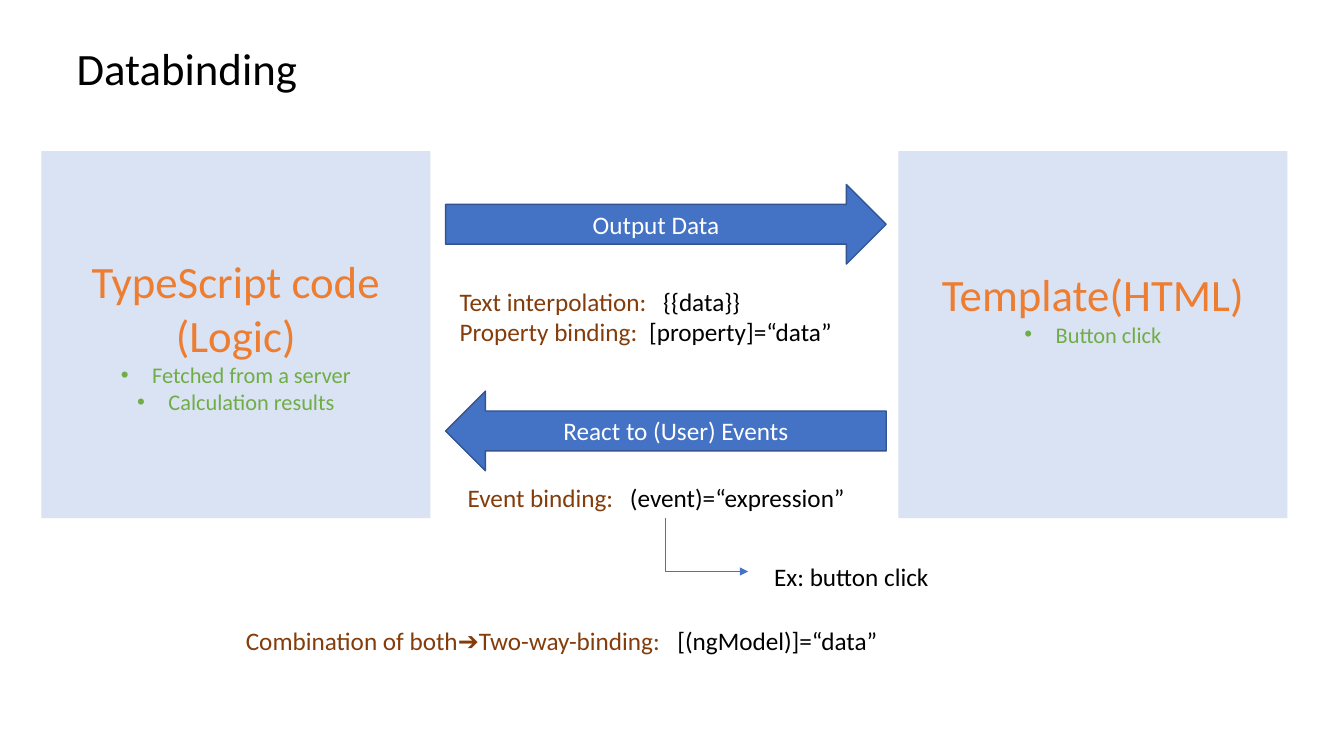
from lxml import etree
from pptx import Presentation
from pptx import util as u
from pptx.dml.color import RGBColor
from pptx.enum import shapes, text
from pptx.oxml.ns import qn

BLACK = RGBColor(0x00, 0x00, 0x00)
WHITE = RGBColor(0xFF, 0xFF, 0xFF)
PALE_BLUE = RGBColor(0xDA, 0xE3, 0xF3)
BLUE = RGBColor(0x44, 0x72, 0xC4)
DARK_BLUE = RGBColor(0x32, 0x54, 0x91)
ORANGE = RGBColor(0xED, 0x7D, 0x31)
GREEN = RGBColor(0x70, 0xAD, 0x47)
BROWN = RGBColor(0x84, 0x3C, 0x0B)


class DatabindingPage:
    """Holds the text style and the current slide."""

    font = "Calibri"
    heading_size, body_size, bullet_size = 32, 18, 16

    def __init__(self, deck):
        self.page = deck.slides.add_slide(deck.slide_layouts[5])

    def style(self, para, size, color):
        for span in para.runs:
            span.font.name = self.font
            span.font.size = u.Pt(size)
            span.font.color.rgb = color

    def title(self, wording, left, top, width, height):
        box = self.page.shapes.title
        box.left, box.top = u.Inches(left), u.Inches(top)
        box.width, box.height = u.Inches(width), u.Inches(height)
        frame = box.text_frame
        frame.text = wording
        frame.word_wrap = False
        frame.auto_size = text.MSO_AUTO_SIZE.SHAPE_TO_FIT_TEXT
        frame.vertical_anchor = text.MSO_ANCHOR.TOP
        frame.paragraphs[0].alignment = text.PP_ALIGN.LEFT
        self.style(frame.paragraphs[0], self.heading_size, BLACK)

    def shape(self, kind, left, top, width, height, fill):
        box = self.page.shapes.add_shape(
            kind, u.Inches(left), u.Inches(top), u.Inches(width), u.Inches(height))
        box.shadow.inherit = False
        box.fill.solid()
        box.fill.fore_color.rgb = fill
        box.text_frame.word_wrap = True
        box.text_frame.vertical_anchor = text.MSO_ANCHOR.MIDDLE
        return box

    def panel(self, left, headings, bullets, bottom_inset=0.05):
        box = self.shape(shapes.MSO_SHAPE.RECTANGLE, left, 1.5, 3.86, 3.64, PALE_BLUE)
        box.line.fill.background()
        frame = box.text_frame
        frame.margin_bottom = u.Inches(bottom_inset)
        frame.text = "\n".join(headings + bullets)
        for index, para in enumerate(frame.paragraphs):
            para.alignment = text.PP_ALIGN.CENTER
            if index < len(headings):
                self.style(para, self.heading_size, ORANGE)
            else:
                self.style(para, self.bullet_size, GREEN)
                self.bullet(para)

    def bullet(self, para):
        props = para._p.get_or_add_pPr()
        indent = u.Inches(0.31)
        props.set("marL", str(indent))
        props.set("indent", str(-indent))
        etree.SubElement(props, qn("a:buFont"), typeface="Arial")
        etree.SubElement(props, qn("a:buChar"), char="•")

    def block_arrow(self, kind, top, wording):
        arrow = self.shape(kind, 4.42, top, 4.37, 0.79, BLUE)
        arrow.line.color.rgb = DARK_BLUE
        arrow.line.width = u.Pt(1)
        arrow.text_frame.text = wording
        para = arrow.text_frame.paragraphs[0]
        para.alignment = text.PP_ALIGN.CENTER
        self.style(para, self.body_size, WHITE)

    def text_box(self, left, top, width, height, wrap=True):
        box = self.page.shapes.add_textbox(
            u.Inches(left), u.Inches(top), u.Inches(width), u.Inches(height))
        box.text_frame.word_wrap = wrap
        box.text_frame.auto_size = text.MSO_AUTO_SIZE.SHAPE_TO_FIT_TEXT
        return box.text_frame

    def note(self, wording, left, top, width, height):
        frame = self.text_box(left, top, width, height, wrap=False)
        frame.text = wording
        self.style(frame.paragraphs[0], self.body_size, BLACK)

    def syntax(self, left, top, width, height, rows):
        """Each row is a brown label, its tab position and the black code."""
        frame = self.text_box(left, top, width, height)
        frame.text = "\n".join(label for label, _, _ in rows)
        for para, (_, tab, code) in zip(frame.paragraphs, rows):
            self.style(para, self.body_size, BROWN)
            span = para.add_run()
            span.text = "\t" + code
            span.font.name = self.font
            span.font.size = u.Pt(self.body_size)
            span.font.color.rgb = BLACK
            stops = etree.SubElement(para._p.get_or_add_pPr(), qn("a:tabLst"))
            etree.SubElement(stops, qn("a:tab"), pos=str(u.Inches(tab)), algn="l")

    def corner_arrow(self, x1, y1, x2, y2):
        """Goes down, then right: a mirrored one-bend connector turned by 270°."""
        across, down = x2 - x1, y2 - y1
        mid_x, mid_y = (x1 + x2) / 2, (y1 + y2) / 2
        link = self.page.shapes.add_connector(
            shapes.MSO_CONNECTOR.ELBOW,
            u.Inches(mid_x + down / 2), u.Inches(mid_y - across / 2),
            u.Inches(mid_x - down / 2), u.Inches(mid_y + across / 2))
        link.line.color.rgb = BLUE
        link.line.width = u.Pt(0.5)
        props = link._element.spPr
        props.find(qn("a:xfrm")).set("rot", str(270 * 60000))
        props.find(qn("a:prstGeom")).set("prst", "bentConnector2")
        etree.SubElement(props.find(qn("a:ln")), qn("a:tailEnd"), type="triangle")
        etree.SubElement(props, qn("a:effectLst"))


def main():
    deck = Presentation()
    deck.slide_width, deck.slide_height = u.Inches(13.33), u.Inches(7.5)
    page = DatabindingPage(deck)

    # Title and the two sides
    page.title("Databinding", 0.66, 0.35, 2.42, 0.64)
    page.panel(0.41, ["TypeScript code", "(Logic)"],
               ["Fetched from a server", "Calculation results"])
    page.panel(8.91, ["Template(HTML)"], ["Button click"], bottom_inset=0.59)

    # Output direction
    page.block_arrow(shapes.MSO_SHAPE.RIGHT_ARROW, 1.83, "Output Data")
    page.syntax(4.46, 2.79, 4.13, 0.71, [
        ("Text interpolation:", 2.02, "{{data}}"),
        ("Property binding:", 1.88, "[property]=“data”")])

    # Event direction
    page.block_arrow(shapes.MSO_SHAPE.LEFT_ARROW, 3.88, "React to (User) Events")
    page.syntax(4.54, 4.74, 4.13, 0.4, [
        ("Event binding:", 1.61, "(event)=“expression”")])
    page.corner_arrow(6.6, 5.14, 7.42, 5.67)
    page.note("Ex: button click", 7.58, 5.52, 1.76, 0.4)

    # Both directions
    page.syntax(2.34, 6.15, 8.23, 0.4, [
        ("Combination of both➔Two-way-binding:", 4.28, "[(ngModel)]=“data”")])

    deck.save("out.pptx")


if __name__ == "__main__":
    main()
